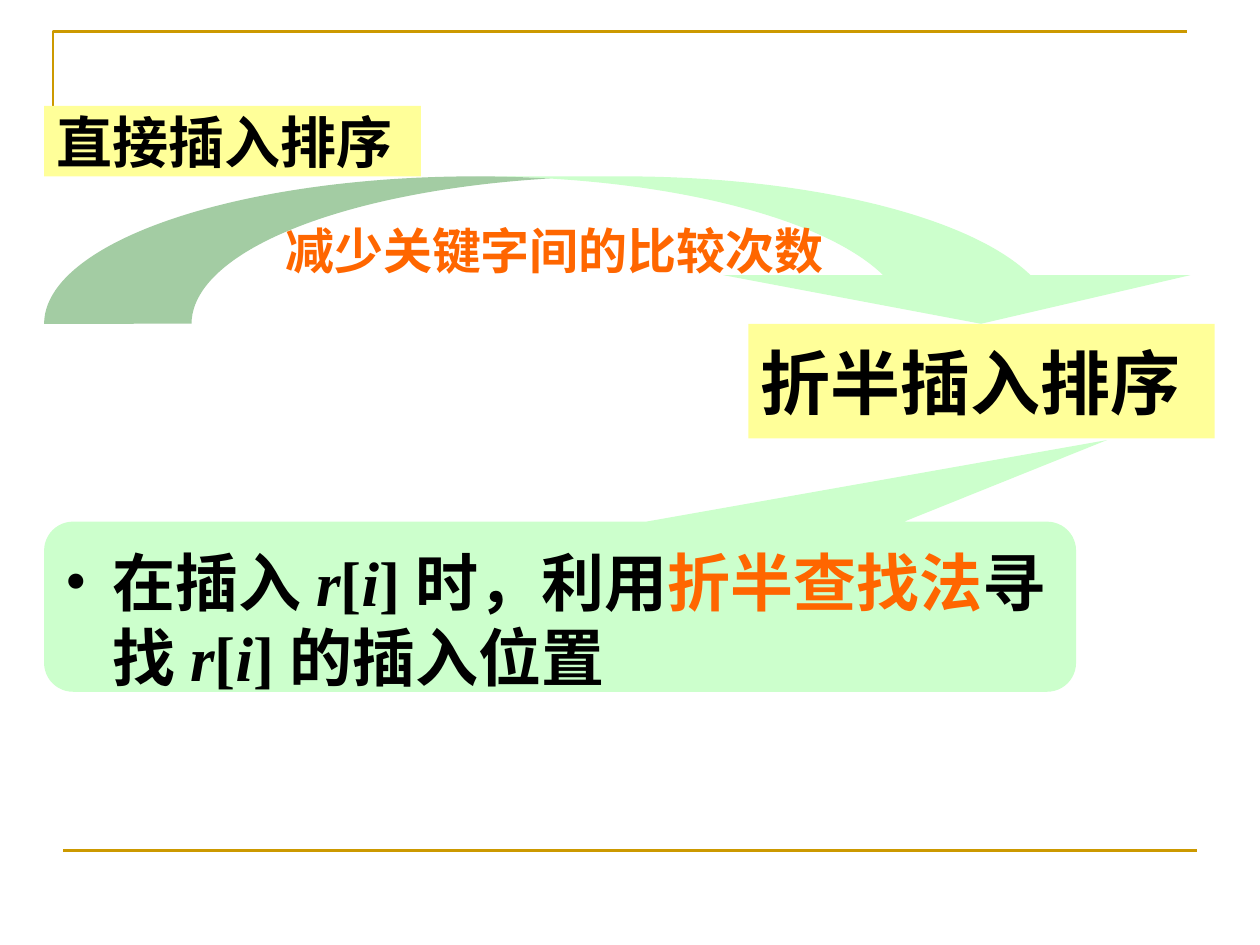
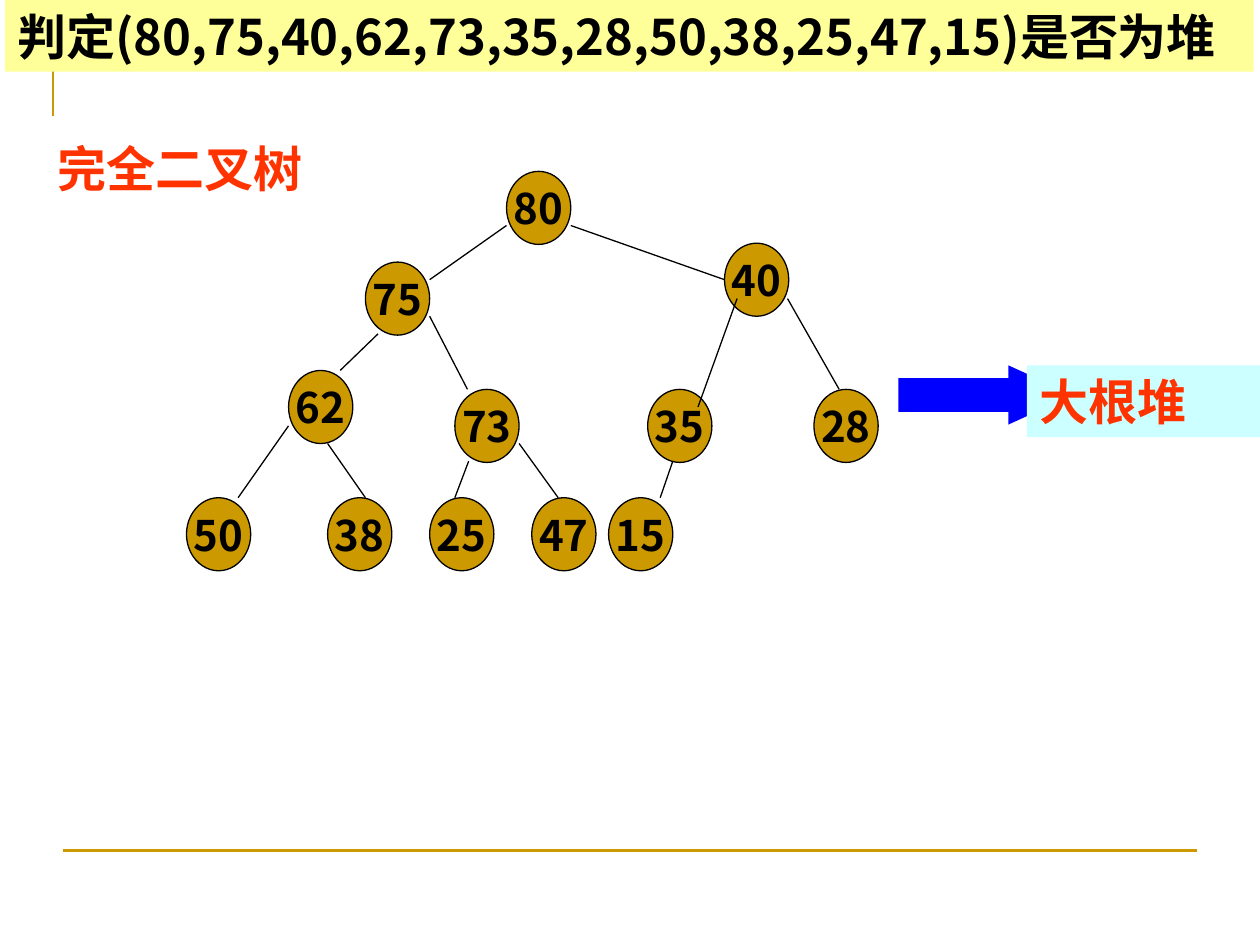
from lxml import etree
from pptx import Presentation
from pptx import util as u
from pptx.dml.color import RGBColor
from pptx.enum import shapes, text
from pptx.oxml.ns import qn

SANS, SERIF = "Noto Sans CJK SC", "Times New Roman"
BLACK, GOLD, BLUE = "000000", "CC9900", "0000FF"
YELLOW, GREEN, CYAN = "FFFF99", "CCFFCC", "CCFFFF"
ORANGE, RED = "FF6600", "FF3300"
Preset = shapes.MSO_SHAPE
CENTER = text.PP_ALIGN.CENTER


def rgb(value):
    return RGBColor.from_string(value)


def inches(values):
    return [u.Inches(value) for value in values]


class Deck:
    """Holds the shared style and the slide being filled."""

    def __init__(self):
        self.prs = Presentation()
        self.prs.slide_width, self.prs.slide_height = inches((10, 7.5))
        self.slide = None

    def new_slide(self):
        """Start a slide with the gold corner on top and the rule below."""
        self.slide = self.prs.slides.add_slide(self.prs.slide_layouts[6])
        outline = self.slide.shapes.build_freeform(*inches((0.42, 0.92)), scale=1.0)
        outline.add_line_segments(
            [inches((0.42, 0.25)), inches((9.42, 0.25))], close=False)
        self.paint(outline.convert_to_shape(), None, GOLD, 1.5)
        self.line((0.5, 6.75), (9.5, 6.75), GOLD, 1.5)

    def paint(self, shape, fill, edge=None, width=0.75):
        shape.shadow.inherit = False
        if fill:
            shape.fill.solid()
            shape.fill.fore_color.rgb = rgb(fill)
        else:
            shape.fill.background()
        if edge:
            shape.line.color.rgb = rgb(edge)
            shape.line.width = u.Pt(width)
        else:
            shape.line.fill.background()

    def shape(self, preset, box, fill, edge=None, adjustments=()):
        shape = self.slide.shapes.add_shape(preset, *inches(box))
        for index, value in enumerate(adjustments):
            shape.adjustments[index] = value
        self.paint(shape, fill, edge)
        return shape

    def line(self, start, end, color=BLACK, width=0.75):
        line = self.slide.shapes.add_connector(
            shapes.MSO_CONNECTOR.STRAIGHT, *inches(start + end))
        line.line.color.rgb = rgb(color)
        line.line.width = u.Pt(width)
        properties = line._element.spPr
        etree.SubElement(properties, qn("a:effectLst"))

    def put_text(self, shape, runs, size, font=SANS, align=text.PP_ALIGN.LEFT, **frame_format):
        """Fill a shape with one paragraph of (words, color, italic) runs."""
        frame = shape.text_frame
        settings = {"word_wrap": True, "vertical_anchor": text.MSO_ANCHOR.MIDDLE,
                    "margin_left": u.Inches(0.1), "margin_right": u.Inches(0.1),
                    "margin_top": 0, "margin_bottom": 0, **frame_format}
        for name, value in settings.items():
            setattr(frame, name, value)
        paragraph = frame.paragraphs[0]
        paragraph.alignment = align
        for words, color, italic in runs:
            run = paragraph.add_run()
            run.text = words
            style = {"name": font, "size": u.Pt(size), "bold": True, "italic": italic}
            for name, value in style.items():
                setattr(run.font, name, value)
            run.font.color.rgb = rgb(color)
            east_asian = etree.SubElement(run._r.get_or_add_rPr(), qn("a:ea"))
            east_asian.set("typeface", SANS)
        return paragraph

    def label(self, words, box, size, fill=None, color=BLACK, font=SANS, **options):
        """Place words on a coloured panel, or in a plain text box without a fill."""
        if fill:
            panel = self.shape(Preset.RECTANGLE, box, fill)
        else:
            panel = self.slide.shapes.add_textbox(*inches(box))
        self.put_text(panel, [(words, color, False)], size, font, **options)

    def node(self, key, left, top):
        circle = self.shape(Preset.OVAL, (left, top, 0.51, 0.58), GOLD, BLACK)
        self.put_text(circle, [(key, BLACK, False)], 24, align=CENTER,
                      word_wrap=False, margin_left=0, margin_right=0)

    def bullet(self, paragraph, indent):
        properties = paragraph._p.get_or_add_pPr()
        properties.set("marL", str(u.Inches(indent)))
        properties.set("indent", str(-u.Inches(indent)))
        color = etree.SubElement(properties, qn("a:buClr"))
        etree.SubElement(color, qn("a:srgbClr")).set("val", BLACK)
        etree.SubElement(properties, qn("a:buFont")).set("typeface", SERIF)
        etree.SubElement(properties, qn("a:buChar")).set("char", "•")


def binary_insertion_slide(deck):
    deck.new_slide()
    deck.label("折半插入排序", (5.94, 2.57, 3.7, 0.91), 40, YELLOW)
    deck.label("直接插入排序", (0.35, 0.84, 2.99, 0.56), 32, YELLOW)
    deck.shape(Preset.CURVED_DOWN_ARROW, (0.35, 1.4, 9.29, 1.17), GREEN,
               adjustments=(1.15, 3.17, 0.33))
    deck.label("减少关键字间的比较次数", (2, 1.7, 4.8, 0.57), 28,
               color=ORANGE, font=SERIF, align=CENTER)

    callout = deck.shape(Preset.ROUNDED_RECTANGULAR_CALLOUT, (0.35, 4.14, 8.19, 1.35),
                         GREEN, adjustments=(0.53, -0.98, 0.17))
    element = [("r", BLACK, True), ("[", BLACK, False), ("i", BLACK, True)]
    explanation = [("在插入 ", BLACK, False), *element,
                   ("] 时，利用", BLACK, False), ("折半查找法", ORANGE, False),
                   ("寻找 ", BLACK, False), *element, ("] 的插入位置", BLACK, False)]
    paragraph = deck.put_text(callout, explanation, 36, SERIF,
                              vertical_anchor=text.MSO_ANCHOR.TOP, margin_top=u.Inches(0.11))
    paragraph.line_spacing = u.Pt(43)
    deck.bullet(paragraph, 0.38)


def heap_slide(deck):
    deck.new_slide()
    deck.label("判定(80,75,40,62,73,35,28,50,38,25,47,15)是否为堆",
               (0.04, 0, 9.91, 0.57), 28, YELLOW, word_wrap=False)

    heap_nodes = [
        ("80", 4.02, 1.36), ("75", 2.9, 2.08), ("40", 5.75, 1.93),
        ("62", 2.29, 2.94), ("73", 3.61, 3.09), ("28", 6.46, 3.09), ("35", 5.14, 3.09),
    ]
    leaves = {"50": 1.48, "38": 2.6, "25": 3.41, "47": 4.22, "15": 4.83}
    heap_nodes += [(key, left, 3.95) for key, left in leaves.items()]
    for key, left, top in heap_nodes:
        deck.node(key, left, top)

    branches = [
        ((4.02, 1.79), (3.41, 2.22)), ((4.53, 1.79), (5.75, 2.22)),
        ((3, 2.65), (2.7, 2.94)), ((3.41, 2.51), (3.71, 3.09)),
        ((5.85, 2.37), (5.54, 3.23)), ((6.25, 2.37), (6.66, 3.09)),
        ((2.29, 3.38), (1.89, 3.95)), ((2.6, 3.52), (2.9, 3.95)),
        ((3.72, 3.66), (3.61, 3.95)), ((4.12, 3.52), (4.43, 3.95)),
        ((5.34, 3.66), (5.24, 3.95)),
    ]
    for parent, child in branches:
        deck.line(parent, child)

    deck.label("完全二叉树", (0.36, 1.05, 2.89, 0.57), 28, color=RED, font=SERIF)
    deck.shape(Preset.RIGHT_ARROW, (7.13, 2.9, 1.39, 0.47), BLUE, adjustments=(0.57, 1.1))
    deck.label("大根堆", (8.15, 2.9, 2.11, 0.57), 28, CYAN, RED, SERIF)


def main():
    deck = Deck()
    binary_insertion_slide(deck)
    heap_slide(deck)
    deck.prs.save("out.pptx")


if __name__ == "__main__":
    main()
